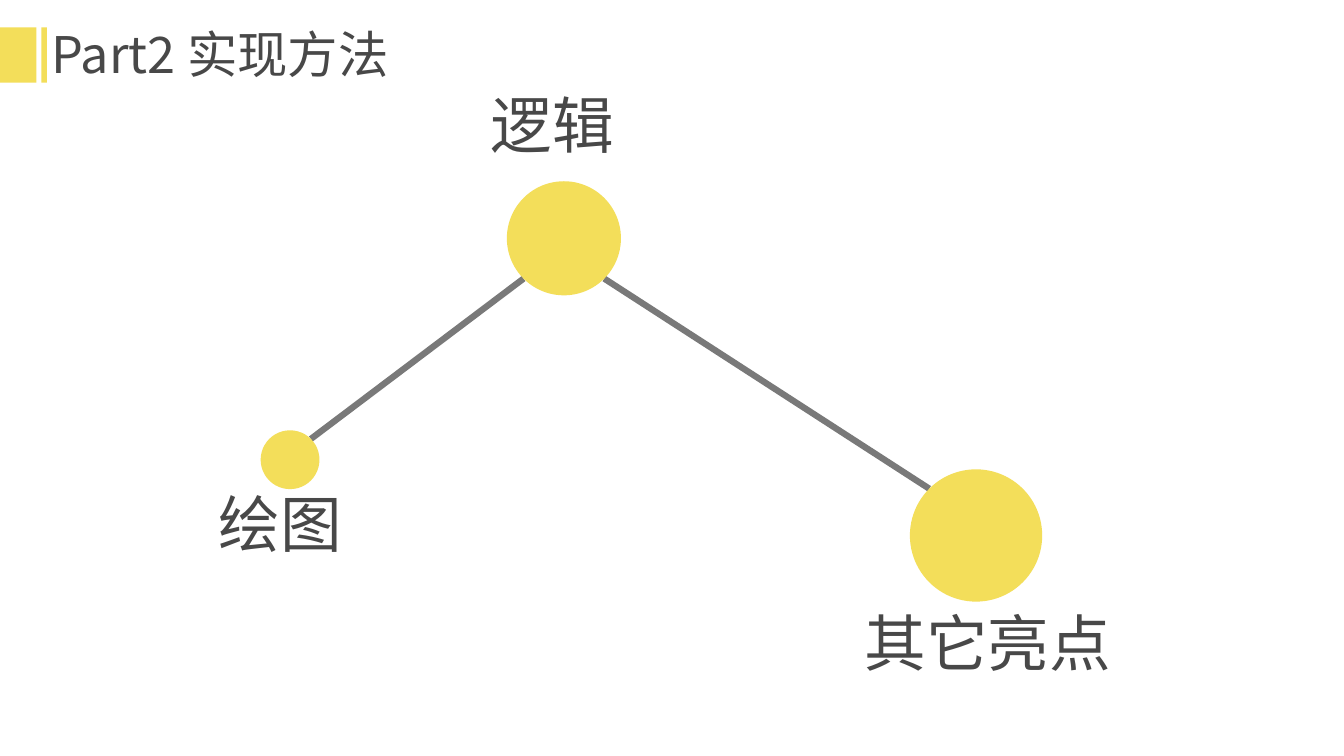
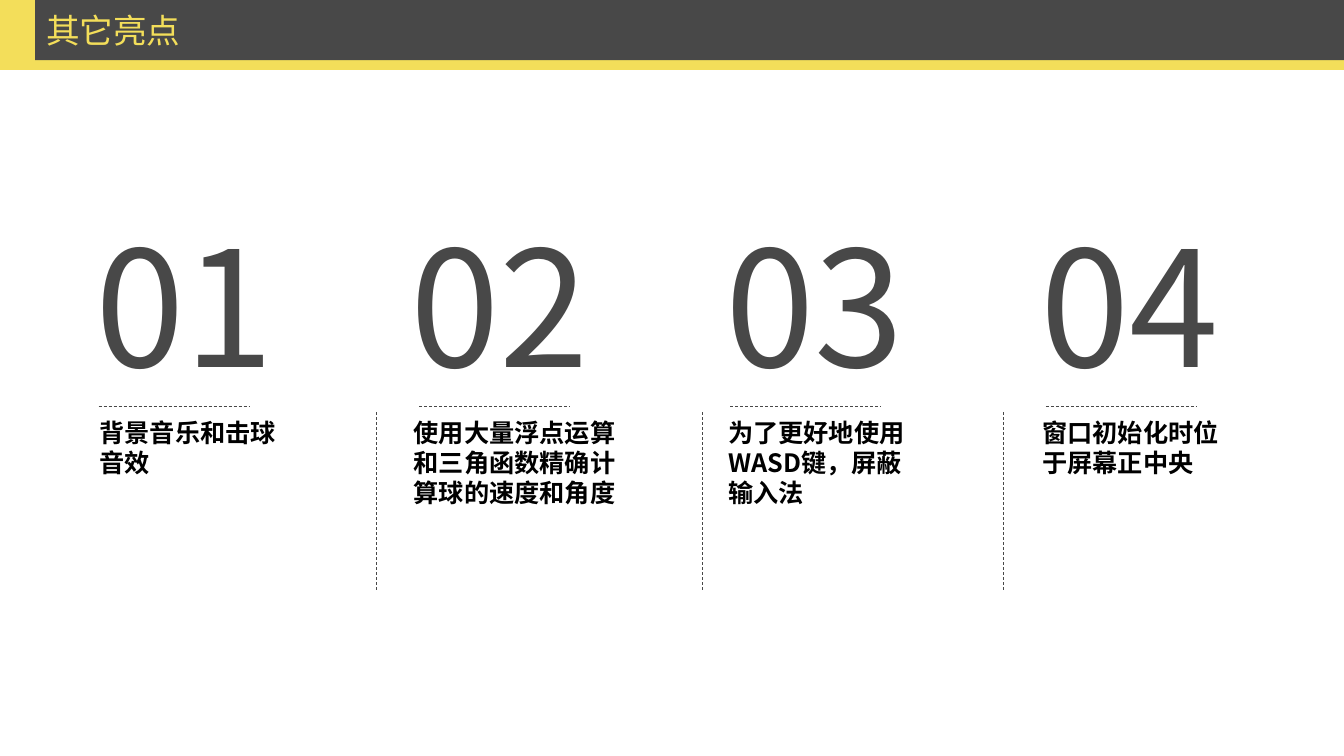
from dataclasses import dataclass
from math import sqrt

from lxml import etree
from pptx import Presentation
from pptx.dml.color import RGBColor
from pptx.enum import dml, shapes, text
from pptx.oxml import ns
from pptx.util import Pt

# Shared style
COLORS = {"yellow": "F3DE5A", "dark": "484848", "link": "797979", "black": "000000"}
FONT = "Noto Sans CJK SC"
SLIDE_WIDTH, SLIDE_HEIGHT = 960, 540
LEFT, CENTER = text.PP_ALIGN.LEFT, text.PP_ALIGN.CENTER
RECT, OVAL = shapes.MSO_SHAPE.RECTANGLE, shapes.MSO_SHAPE.OVAL


@dataclass(frozen=True)
class Box:
    left: float
    top: float
    width: float
    height: float

    def lengths(self) -> tuple:
        return Pt(self.left), Pt(self.top), Pt(self.width), Pt(self.height)


@dataclass(frozen=True)
class Topic:
    name: str
    x: float
    y: float
    diameter: float
    label: Box

    def corner(self, side: int) -> tuple[float, float]:
        """Diagonal point on the rim: upper right for 1, upper left for -1."""
        reach = self.diameter / 2 / sqrt(2)
        return self.x + side * reach, self.y - reach

    def lower_corner(self, side: int) -> tuple[float, float]:
        reach = self.diameter / 2 / sqrt(2)
        return self.x + side * reach, self.y + reach


@dataclass(frozen=True)
class Highlight:
    description: str
    rule_left: float
    width: float


def write(holder, wording: str, size: float, color: str, align=LEFT, bold=False) -> None:
    frame = holder.text_frame
    frame.word_wrap = True
    frame.auto_size = text.MSO_AUTO_SIZE.NONE
    frame.vertical_anchor = text.MSO_ANCHOR.TOP
    frame.text = wording
    paragraph = frame.paragraphs[0]
    paragraph.alignment = align
    font = paragraph.font
    font.name, font.size, font.bold = FONT, Pt(size), bold
    font.color.rgb = RGBColor.from_string(COLORS[color])
    # East Asian typeface
    defaults = paragraph._p.find(ns.qn("a:pPr")).find(ns.qn("a:defRPr"))
    etree.SubElement(defaults, ns.qn("a:ea"), typeface=FONT)


def add_title(slide, wording: str, box: Box, size: float, color: str, align=LEFT) -> None:
    title = slide.shapes.title
    title.left, title.top, title.width, title.height = box.lengths()
    write(title, wording, size, color, align)


def add_text(slide, wording: str, box: Box, size: float, color: str,
             align=LEFT, bold=False) -> None:
    write(slide.shapes.add_textbox(*box.lengths()), wording, size, color, align, bold)


def add_filled(slide, kind, box: Box, color: str) -> None:
    shape = slide.shapes.add_shape(kind, *box.lengths())
    shape.shadow.inherit = False
    shape.fill.solid()
    shape.fill.fore_color.rgb = RGBColor.from_string(COLORS[color])
    shape.line.fill.background()


def add_line(slide, start: tuple, end: tuple, color: str, width: float, dashed=False) -> None:
    line = slide.shapes.add_connector(
        shapes.MSO_CONNECTOR.STRAIGHT, *(Pt(value) for value in (*start, *end)))
    line.line.color.rgb = RGBColor.from_string(COLORS[color])
    line.line.width = Pt(width)
    if dashed:
        line.line.dash_style = dml.MSO_LINE.DASH
    etree.SubElement(line._element.spPr, ns.qn("a:effectLst"))


# Slide 1: three linked topics
DRAWING = Topic("绘图", 207.2, 328.4, 42, Box(149, 343.5, 106, 60.5))
LOGIC = Topic("逻辑", 402.8, 170.2, 81.5, Box(343.5, 58.5, 120, 60.5))
OTHERS = Topic("其它亮点", 697.2, 382.5, 94.5, Box(610.5, 428.5, 232, 60.5))


def build_method(slide) -> None:
    for left, width in ((0, 26), (29.5, 4)):
        add_filled(slide, RECT, Box(left, 19.5, width, 39.5), "yellow")
    add_title(slide, "Part2 实现方法", Box(29.5, 13, 297.5, 51), 36, "dark")

    for topic, side in ((DRAWING, 1), (OTHERS, -1)):
        add_line(slide, topic.corner(side), LOGIC.lower_corner(-side), "link", 4.5)
    for topic in (DRAWING, LOGIC, OTHERS):
        radius = topic.diameter / 2
        circle = Box(topic.x - radius, topic.y - radius, topic.diameter, topic.diameter)
        add_filled(slide, OVAL, circle, "yellow")
        add_text(slide, topic.name, topic.label, 44, "dark")


# Slide 2: four numbered highlights
HIGHLIGHTS = (
    Highlight("背景音乐和击球音效", 70.5, 146),
    Highlight("使用大量浮点运算和三角函数精确计算球的速度和角度", 299.5, 175),
    Highlight("为了更好地使用WASD键，屏蔽输入法", 521.5, 146),
    Highlight("窗口初始化时位于屏幕正中央", 747, 142.5),
)
DIVIDERS = (268.5, 502, 717)
NUMBER_LEFT, NUMBER_PITCH = 59, 225
TEXT_LEFT, TEXT_PITCH = 64, 224.5
RULE_TOP, RULE_WIDTH = 290, 108
TEXT_TOP, DIVIDER_BOTTOM = 294.5, 421.5


def build_highlights(slide) -> None:
    # Header band
    add_filled(slide, RECT, Box(0, 0, SLIDE_WIDTH, 50), "yellow")
    add_filled(slide, RECT, Box(0, 0, SLIDE_WIDTH, 43), "dark")
    add_filled(slide, RECT, Box(0, 0, 25, 50), "yellow")
    title = slide.shapes.title
    slide.shapes._spTree.append(title._element)  # bring the title above the band
    add_title(slide, "其它亮点", Box(5, 3.5, 152, 36), 24, "yellow", CENTER)

    # Columns
    for index, item in enumerate(HIGHLIGHTS):
        number_box = Box(NUMBER_LEFT + index * NUMBER_PITCH, 144, 146, 147)
        add_text(slide, f"{index + 1:02}", number_box, 115, "dark", CENTER)
        add_line(slide, (item.rule_left, RULE_TOP),
                 (item.rule_left + RULE_WIDTH, RULE_TOP), "dark", 0.5, dashed=True)
        description_box = Box(TEXT_LEFT + index * TEXT_PITCH, TEXT_TOP, item.width, 73)
        add_text(slide, item.description, description_box, 18, "black", bold=True)
    for x in DIVIDERS:
        add_line(slide, (x, TEXT_TOP), (x, DIVIDER_BOTTOM), "dark", 0.5, dashed=True)


def main() -> None:
    deck = Presentation()
    deck.slide_width, deck.slide_height = Pt(SLIDE_WIDTH), Pt(SLIDE_HEIGHT)
    title_only = deck.slide_layouts[5]
    for build in (build_method, build_highlights):
        build(deck.slides.add_slide(title_only))
    deck.save("out.pptx")


if __name__ == "__main__":
    main()
